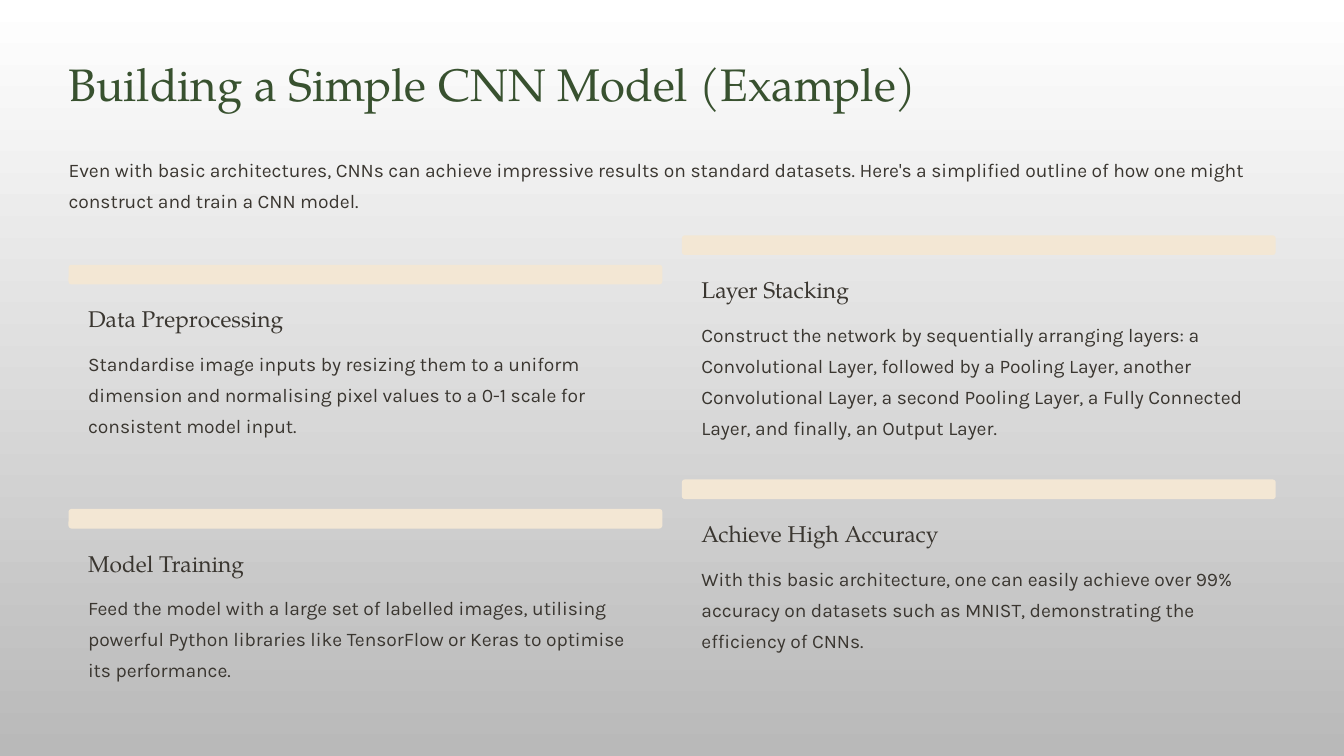
from pptx import Presentation
from pptx import util as u
from pptx.dml import color
from pptx.enum import shapes

SERIF, SANS = "TeX Gyre Pagella", "Karla"
GREEN, INK, SAND = "38512F", "3A3630", "F3E7D4"
TITLE = dict(name=SERIF, size=u.Pt(39)), GREEN, 49
HEAD = dict(name=SERIF, size=u.Pt(19.5)), INK, 24.5
BODY = dict(name=SANS, size=u.Pt(16.5)), INK, 26.5

INTRO = ("Even with basic architectures, CNNs can achieve impressive results on "
         "standard datasets. Here's a simplified outline of how one might "
         "construct and train a CNN model.")
CARDS = [
    ("Data Preprocessing",
     "Standardise image inputs by resizing them to a uniform dimension and "
     "normalising pixel values to a 0-1 scale for consistent model input.", 3),
    ("Layer Stacking",
     "Construct the network by sequentially arranging layers: a Convolutional "
     "Layer, followed by a Pooling Layer, another Convolutional Layer, a second "
     "Pooling Layer, a Fully Connected Layer, and finally, an Output Layer.", 4),
    ("Model Training",
     "Feed the model with a large set of labelled images, utilising powerful "
     "Python libraries like TensorFlow or Keras to optimise its performance.", 3),
    ("Achieve High Accuracy",
     "With this basic architecture, one can easily achieve over 99% accuracy on "
     "datasets such as MNIST, demonstrating the efficiency of CNNs.", 3),
]


def rgb(code):
    """Turn a hex string into a colour."""
    return color.RGBColor.from_string(code)


def write(slide, box, words, style, wrap=True):
    """Place text in a box of points without margins."""
    font, ink, lead = style
    frame = slide.shapes.add_textbox(*map(u.Pt, box)).text_frame
    for side in ("left", "top", "right", "bottom"):
        setattr(frame, "margin_" + side, 0)
    frame.word_wrap = wrap
    para = frame.paragraphs[0]
    para.line_spacing = u.Pt(lead)
    run = para.add_run()
    run.text = words
    for key, value in font.items():
        setattr(run.font, key, value)
    run.font.color.rgb = rgb(ink)


def paint(slide):
    """Fill the background from white down to grey."""
    fill = slide.background.fill
    fill.gradient()
    fill.gradient_angle = 270
    for stop, code in zip(fill.gradient_stops, ("FFFFFF", "B9B9B9")):
        stop.color.rgb = rgb(code)


def intro(slide, x, y, w):
    """Place the title and the lead text."""
    write(slide, (x, y, 729, 49.5), "Building a Simple CNN Model (Example)", TITLE, False)
    write(slide, (x, y + 83, w, 54), INTRO, BODY)


def card(slide, x, y, w, head, body, lines):
    """Place a bar with a heading and text below it."""
    pad = 16.75
    bar = slide.shapes.add_shape(shapes.MSO_SHAPE.ROUNDED_RECTANGLE,
                                 *map(u.Pt, (x, y, w, pad)))
    bar.adjustments[0] = 0.15
    bar.shadow.inherit = False
    bar.fill.solid()
    bar.fill.fore_color.rgb = rgb(SAND)
    bar.line.fill.background()
    write(slide, (x + pad, y + 33.5, 210.25, 24.5), head, HEAD, False)
    write(slide, (x + pad, y + 68.5, w - 2 * pad, lines * 26.8), body, BODY)


def main():
    """Build the slide and save it."""
    deck = Presentation()
    deck.slide_width, deck.slide_height = u.Pt(1152), u.Pt(648)
    slide = deck.slides.add_slide(deck.slide_layouts[6])
    left, wide, gap = 58.75, 509, 16.75
    paint(slide)
    intro(slide, left, 46, 2 * wide + gap)
    for i, item in enumerate(CARDS):
        row, col = divmod(i, 2)
        card(slide, left + col * (wide + gap), 227 + row * 209.25 - col * 25.25,
             wide, *item)
    deck.save("out.pptx")


if __name__ == "__main__":
    main()
